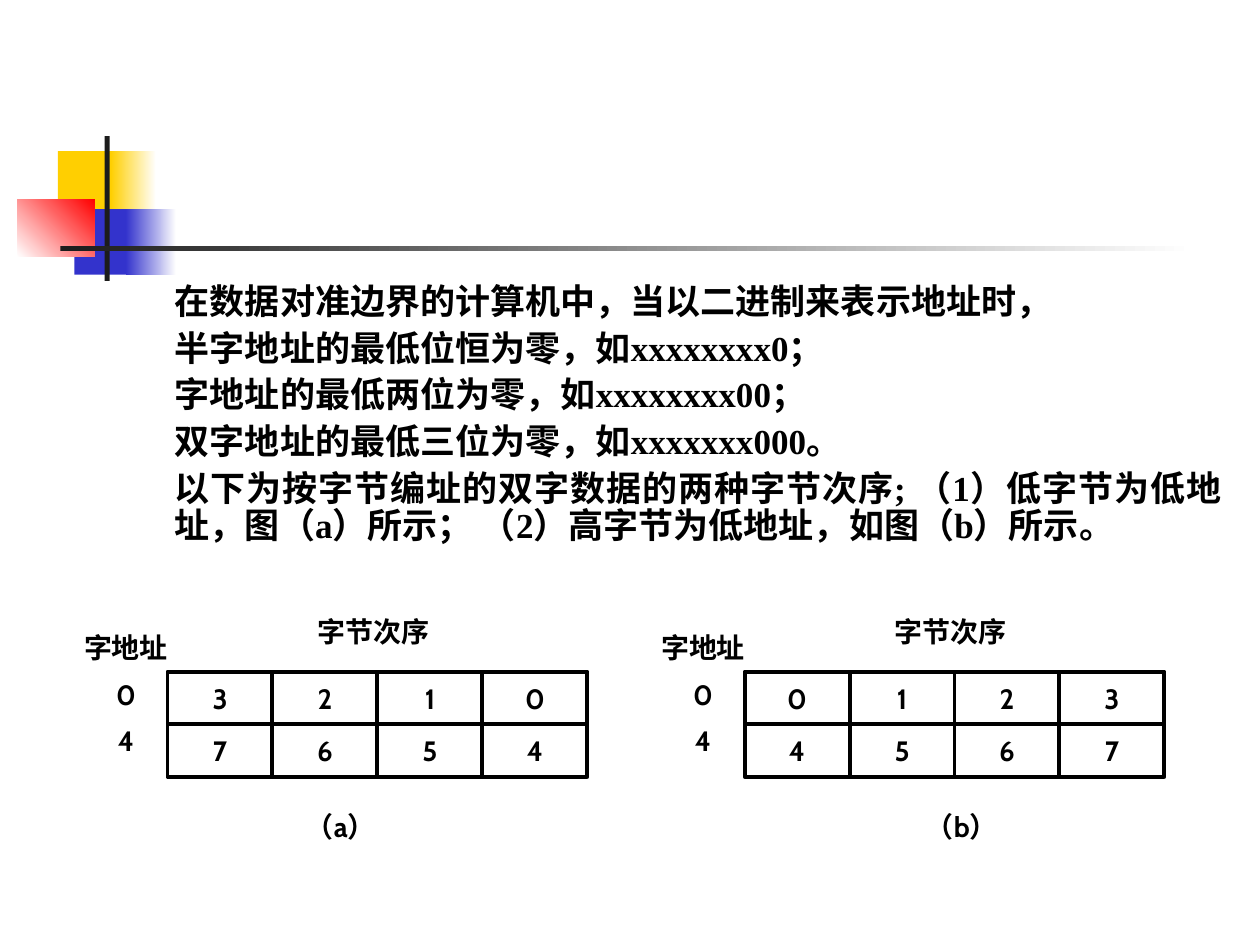
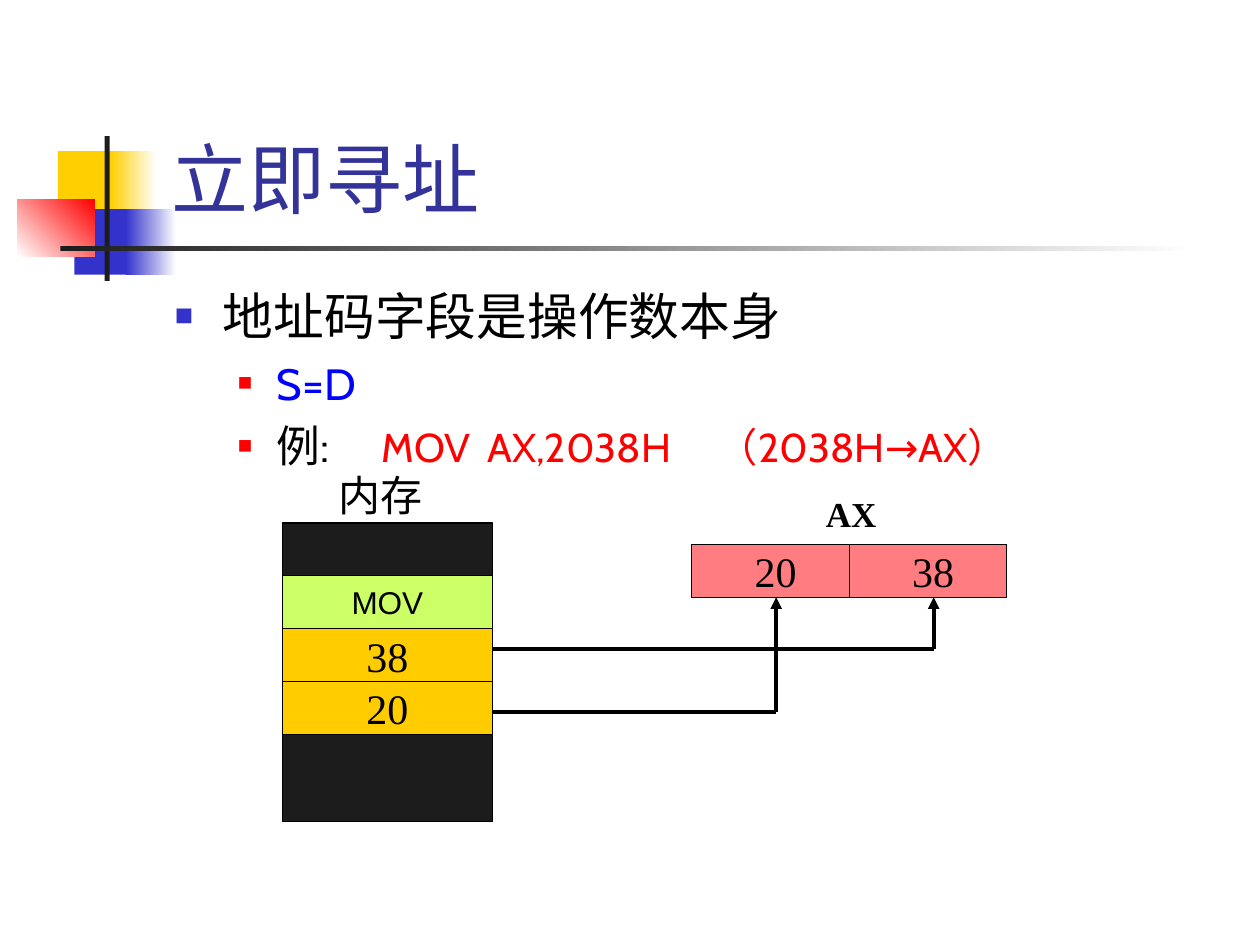
from lxml import etree
from pptx import Presentation
from pptx import util as u
from pptx.dml.color import RGBColor
from pptx.enum import shapes, text
from pptx.oxml.ns import qn

BLACK, WHITE, DARK, RED = "000000", "FFFFFF", "1C1C1C", "FF0000"
YELLOW, BLUE, TITLE_BLUE, CODE_BLUE = "FFCF01", "3333CC", "333399", "0000FF"
GREEN, ORANGE, PINK = "CCFF66", "FFCC00", "FF7C80"
SERIF, SANS, CABIN, CJK = "Times New Roman", "Arial", "Cabin", "Noto Sans CJK JP"
LEFT, CENTER, JUSTIFY = text.PP_ALIGN.LEFT, text.PP_ALIGN.CENTER, text.PP_ALIGN.JUSTIFY
TOP, MIDDLE = text.MSO_ANCHOR.TOP, text.MSO_ANCHOR.MIDDLE

# box, colour or (from, to) gradient, gradient angle
DECORATION = [
    ((0.46, 1.2, 0.48, 0.52), YELLOW, 0),
    ((0.88, 1.2, 0.36, 0.52), (YELLOW, WHITE), 0),
    ((0.59, 1.66, 0.46, 0.52), BLUE, 0),
    ((1, 1.66, 0.4, 0.52), (BLUE, WHITE), 0),
    ((0.14, 1.58, 0.61, 0.46), (WHITE, RED), 45),
    ((0.83, 1.08, 0.04, 1.15), DARK, 0),
    ((0.48, 1.95, 9, 0.04), (DARK, WHITE), 0),
]

ALIGNMENT_RULES = [
    "在数据对准边界的计算机中，当以二进制来表示地址时，",
    "半字地址的最低位恒为零，如xxxxxxxx0；",
    "字地址的最低两位为零，如xxxxxxxx00；",
    "双字地址的最低三位为零，如xxxxxxx000。",
    "以下为按字节编址的双字数据的两种字节次序; （1）低字节为低地址，图（a）所示； "
    "（2）高字节为低地址，如图（b）所示。",
]
# left edge, byte rows, caption, caption left
BYTE_ORDERS = [
    (0.5, ["3210", "7654"], "（a）", 2.33),
    (5.08, ["0123", "4567"], "（b）", 7.25),
]
BYTE_W, BYTE_H, BYTE_TOP = 0.833, 0.417, 5.33

ADDRESSING_TITLE = "立即寻址"
# level, space before, runs of (text, size, colour)
ADDRESSING_POINTS = [
    (0, 0, [("地址码字段是操作数本身", 29, BLACK)]),
    (1, 6.2, [("S=D", 25, CODE_BLUE)]),
    (1, 5.8, [("例:\t", 25, BLACK), ("MOV\tAX,2038H\t（2038H→AX）", 23, RED)]),
]
# text indent, hanging indent, bullet colour, bullet size in percent
BULLETS = [(0.38, 0.38, BLUE, 60), (0.81, 0.31, RED, 55)]
EXAMPLE_TABS = [1.64, 2.48, 4.31]
# text, font, size, fill, height
MEMORY = [
    ("", SERIF, 24, DARK, 0.42),
    ("MOV", SANS, 18, GREEN, 0.42),
    ("38", SERIF, 24, ORANGE, 0.42),
    ("20", SERIF, 24, ORANGE, 0.42),
    ("", SERIF, 24, DARK, 0.69),
]
MEMORY_LEFT, MEMORY_TOP, MEMORY_W = 2.24, 4.15, 1.67
REGISTER = ["20", "38"]
REGISTER_LEFT, REGISTER_TOP, REGISTER_W, REGISTER_H = 5.49, 4.32, 1.25, 0.42
TRANSFERS = [(6.16, 5.65), (7.41, 5.15)]  # arrow x, height of the line out of memory


def rgb(hex_colour):
    return RGBColor.from_string(hex_colour)


def inches(values):
    return [u.Inches(v) for v in values]


def add_run(p, words, font, size, colour=BLACK, bold=False):
    r = p.add_run()
    r.text = words
    r.font.size, r.font.bold = u.Pt(size), bold
    r.font.color.rgb = rgb(colour)
    r.font.name = font
    etree.SubElement(r.font._element, qn("a:ea"), typeface=CJK)


def new_paragraph(tf, index):
    return tf.add_paragraph() if index else tf.paragraphs[0]


def write(tf, lines, font, size, bold=False, align=LEFT, anchor=TOP, wrap=True,
          spacing=None, before=0):
    tf.word_wrap, tf.vertical_anchor = wrap, anchor
    for i, line in enumerate(lines):
        p = new_paragraph(tf, i)
        p.alignment = align
        if spacing:
            p.line_spacing = spacing
        if i:
            p.space_before = u.Pt(before)
        add_run(p, line, font, size, bold=bold)


def add_text(s, box, lines, font, size, **style):
    write(s.shapes.add_textbox(*inches(box)).text_frame, lines, font, size, **style)


def add_rect(parent, box, fill=None, line_width=0, angle=0):
    """Add a rectangle; fill is None, a colour or a pair of gradient colours."""
    sp = parent.shapes.add_shape(shapes.MSO_SHAPE.RECTANGLE, *inches(box))
    sp.shadow.inherit = False
    if fill is None:
        sp.fill.background()
    elif isinstance(fill, str):
        sp.fill.solid()
        sp.fill.fore_color.rgb = rgb(fill)
    else:
        sp.fill.gradient()
        sp.fill.gradient_angle = angle
        for position, (stop, colour) in enumerate(zip(sp.fill.gradient_stops, fill)):
            stop.color.rgb = rgb(colour)
            stop.position = position
    if line_width:
        sp.line.color.rgb = rgb(BLACK)
        sp.line.width = u.Pt(line_width)
    else:
        sp.line.fill.background()
    return sp


def add_line(s, start, end, arrow=False):
    c = s.shapes.add_connector(shapes.MSO_CONNECTOR.STRAIGHT, *inches(start + end))
    c.line.color.rgb = rgb(BLACK)
    c.line.width = u.Pt(2.25)
    if arrow:
        etree.SubElement(c.line._get_or_add_ln(), qn("a:tailEnd"), type="triangle")
    etree.SubElement(c.element.spPr, qn("a:effectLst"))


def decorate_master(prs, s):
    """Draw the decoration on slide s, then move it behind the master's placeholders."""
    tree = prs.slide_master.shapes.element
    for i, (box, fill, angle) in enumerate(DECORATION):
        sp = add_rect(s, box, fill, angle=angle)
        sp.element.nvSpPr.cNvPr.set("id", str(100 + i))
        tree.insert(2 + i, sp.element)


def add_bullet(p, level):
    indent, hanging, colour, size = BULLETS[level]
    p.level = level
    pPr = p._p.get_or_add_pPr()
    pPr.set("marL", str(u.Inches(indent)))
    pPr.set("indent", str(-u.Inches(hanging)))
    bullet_colour = etree.SubElement(pPr, qn("a:buClr"))
    etree.SubElement(bullet_colour, qn("a:srgbClr"), val=colour)
    etree.SubElement(pPr, qn("a:buSzPct"), val=str(size * 1000))
    etree.SubElement(pPr, qn("a:buFont"), typeface=SANS)
    etree.SubElement(pPr, qn("a:buChar"), char="■")


def add_tabs(p, stops):
    tabs = etree.SubElement(p._p.get_or_add_pPr(), qn("a:tabLst"))
    for stop in stops:
        etree.SubElement(tabs, qn("a:tab"), pos=str(u.Inches(stop)), algn="l")


def add_byte_order(s, left, rows, caption, caption_left):
    label = dict(font=CABIN, size=16, bold=True)
    add_text(s, (left, 5, 1, 1.06), ["字地址", "0", "4"], align=CENTER,
             spacing=0.85, before=10, **label)
    add_text(s, (left + 1.92, 4.83, 1.25, 0.37), ["字节次序"], **label)
    grid = s.shapes.add_group_shape()
    for row, digits in enumerate(rows):
        for col, digit in enumerate(digits):
            box = (left + 0.83 + col * BYTE_W, BYTE_TOP + row * BYTE_H, BYTE_W, BYTE_H)
            sp = add_rect(grid, box, line_width=2.25)
            write(sp.text_frame, [digit], align=CENTER, anchor=MIDDLE, wrap=False, **label)
    add_text(s, (caption_left, 6.38, 1.25, 0.37), [caption], **label)


def build_alignment_slide(s):
    add_text(s, (1.29, 2.21, 8.5, 2.29), ALIGNMENT_RULES, SERIF, 20, bold=True,
             align=JUSTIFY, spacing=0.9, before=5)
    for order in BYTE_ORDERS:
        add_byte_order(s, *order)


def build_addressing_slide(s):
    title = s.shapes.title
    title.left, title.top, title.width, title.height = inches((1.26, 0.23, 8.52, 1.6))
    tf = title.text_frame
    tf.vertical_anchor = text.MSO_ANCHOR.BOTTOM
    tf.paragraphs[0].alignment = LEFT
    add_run(tf.paragraphs[0], ADDRESSING_TITLE, CJK, 44, TITLE_BLUE)

    tf = s.shapes.add_textbox(*inches((1.29, 2.21, 8.5, 2.17))).text_frame
    tf.word_wrap = True
    for i, (level, before, runs) in enumerate(ADDRESSING_POINTS):
        p = new_paragraph(tf, i)
        add_bullet(p, level)
        if "\t" in runs[0][0]:
            add_tabs(p, EXAMPLE_TABS)
        p.space_before = u.Pt(before)
        for words, size, colour in runs:
            add_run(p, words, CABIN, size, colour)

    top = MEMORY_TOP
    for words, font, size, fill, height in MEMORY:
        sp = add_rect(s, (MEMORY_LEFT, top, MEMORY_W, height), fill, 0.75)
        if words:
            write(sp.text_frame, [words], font, size, align=CENTER, anchor=MIDDLE, wrap=False)
        top += height

    for i, value in enumerate(REGISTER):
        left = REGISTER_LEFT + i * REGISTER_W
        add_rect(s, (left, REGISTER_TOP, REGISTER_W, REGISTER_H), PINK, 0.75)
        add_text(s, (left + 0.4, 4.28, 0.53, 0.5), [value], SERIF, 24, wrap=False)

    for x, y in TRANSFERS:
        add_line(s, (MEMORY_LEFT + MEMORY_W, y), (x, y))
        add_line(s, (x, y), (x, REGISTER_TOP + REGISTER_H), arrow=True)

    add_text(s, (2.47, 3.68, 1.1, 0.5), ["内存"], SERIF, 24, align=CENTER)
    add_text(s, (6.45, 3.86, 0.61, 0.44), ["AX"], SERIF, 20, bold=True, align=CENTER,
             wrap=False)


def main():
    prs = Presentation()
    prs.slide_width, prs.slide_height = inches((10, 7.5))
    title_only, blank = prs.slide_layouts[5], prs.slide_layouts[6]
    s = prs.slides.add_slide(blank)
    decorate_master(prs, s)
    build_alignment_slide(s)
    build_addressing_slide(prs.slides.add_slide(title_only))
    prs.save("out.pptx")


if __name__ == "__main__":
    main()
